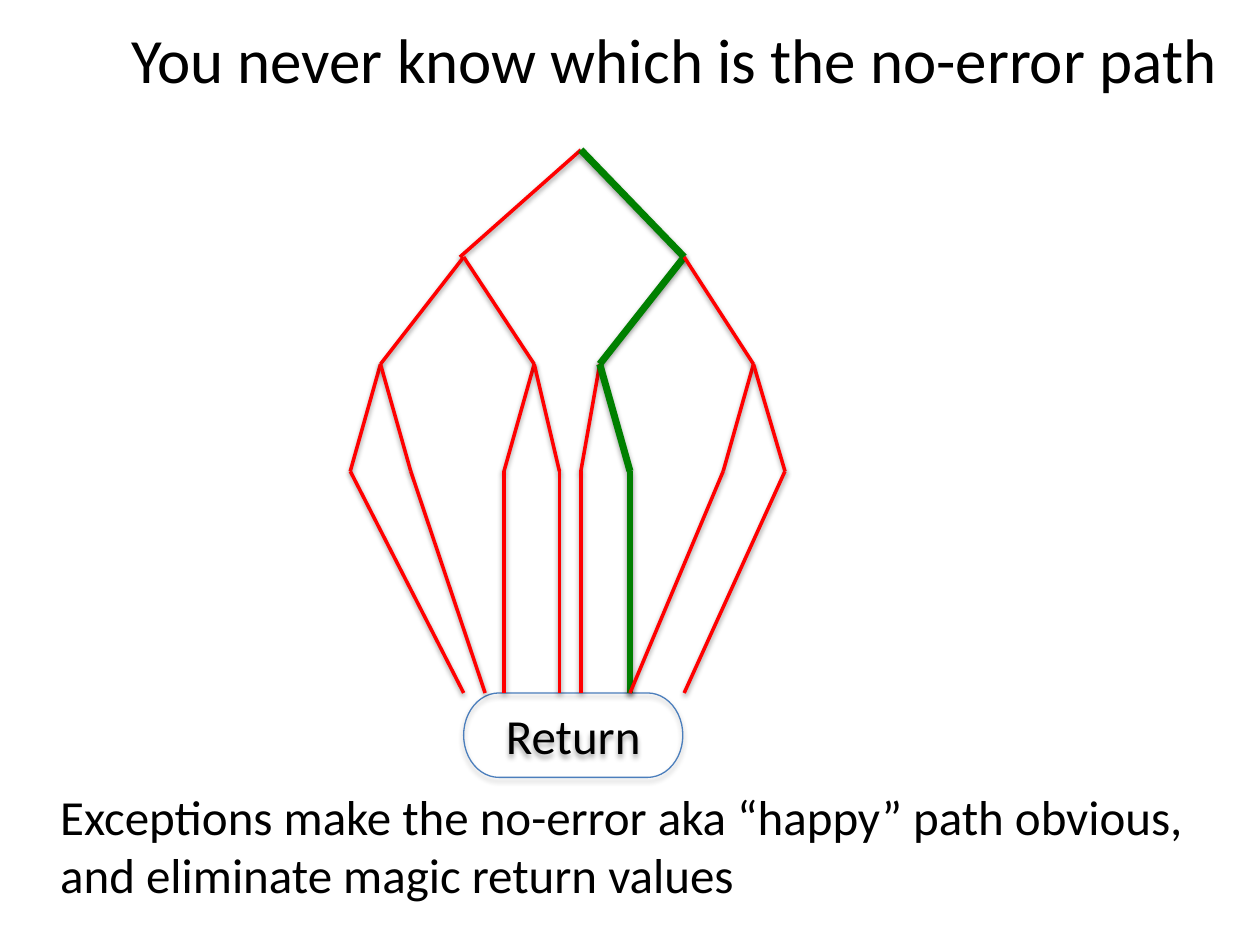
from lxml import etree
from pptx import Presentation
from pptx.dml.color import RGBColor
from pptx.enum import shapes, text
from pptx.oxml import ns
from pptx.util import Inches, Pt

# Content
TITLE = "You never know which is the no-error path"
END = "Return"
NOTES = ["Exceptions make the no-error aka “happy” path obvious,",
         "and eliminate magic return values"]

# Tree: heights of the levels, then the branches (start x, end x) between them
LEVELS = [1.19, 2.04, 2.89, 3.74, 5.5]
TREE = [
    [(4.61, 3.65), (4.61, 5.43)],
    [(3.68, 3.02), (3.68, 4.24), (5.43, 4.76), (5.43, 5.98)],
    [(3.02, 2.78), (3.02, 3.26), (4.24, 4), (4.24, 4.44),
     (4.76, 4.61), (4.76, 5), (5.98, 5.74), (5.98, 6.23)],
    [(2.78, 3.68), (3.26, 3.85), (4, 4), (4.44, 4.44),
     (4.61, 4.61), (5, 5), (5.74, 5), (6.23, 5.43)],
]
HAPPY = [(4.61, 5.43), (5.43, 4.76), (4.76, 5), (5, 5)]

THEME = {
    "font": "Calibri", "ink": "000000", "title": 36, "body": 28,
    "error": ("FF0000", 2), "happy": ("008000", 4), "edge": ("4B7EBC", 0.75),
}


def write(para, words, size):
    run = para.add_run()
    run.text = words
    run.font.name = THEME["font"]
    run.font.size = Pt(size)
    run.font.color.rgb = RGBColor.from_string(THEME["ink"])


def stroke(item, style):
    color, width = style
    item.line.color.rgb = RGBColor.from_string(color)
    item.line.width = Pt(width)


def shade(item, dist, alpha):
    props = item._element.spPr
    for old in props.findall(ns.qn("a:effectLst")):
        props.remove(old)
    fx = etree.SubElement(props, ns.qn("a:effectLst"))
    drop = etree.SubElement(fx, ns.qn("a:outerShdw"), blurRad=str(Pt(3.1)),
                            dist=str(Pt(dist)), dir="5400000", rotWithShape="0")
    tint = etree.SubElement(drop, ns.qn("a:srgbClr"), val=THEME["ink"])
    etree.SubElement(tint, ns.qn("a:alpha"), val=str(alpha * 1000))


def main():
    deck = Presentation()
    deck.slide_width, deck.slide_height = Inches(10), Inches(7.5)
    slide = deck.slides.add_slide(deck.slide_layouts[5])

    # Title
    head = slide.shapes.title
    head.left, head.top = Inches(0.2), Inches(-0.16)
    head.width, head.height = Inches(10.3), Inches(1.25)
    frame = head.text_frame
    frame.vertical_anchor = text.MSO_ANCHOR.MIDDLE
    frame.paragraphs[0].alignment = text.PP_ALIGN.CENTER
    write(frame.paragraphs[0], TITLE, THEME["title"])

    # Return node
    tree = slide.shapes.add_group_shape().shapes
    node = tree.add_shape(shapes.MSO_SHAPE.FLOWCHART_TERMINATOR, Inches(3.68),
                          Inches(LEVELS[-1]), Inches(1.74), Inches(0.67))
    node.fill.background()
    stroke(node, THEME["edge"])
    shade(node, 1.8, 35)
    frame = node.text_frame
    frame.vertical_anchor = text.MSO_ANCHOR.MIDDLE
    frame.paragraphs[0].alignment = text.PP_ALIGN.CENTER
    write(frame.paragraphs[0], END, THEME["body"])

    # Branches, with the no-error path in the heavier line
    for row, good, top, low in zip(TREE, HAPPY, LEVELS, LEVELS[1:]):
        for start, stop in row:
            line = tree.add_connector(shapes.MSO_CONNECTOR.STRAIGHT, Inches(start),
                                      Inches(top), Inches(stop), Inches(low))
            stroke(line, THEME["happy" if (start, stop) == good else "error"])
            shade(line, 1.6, 38)

    # Closing remark
    box = slide.shapes.add_textbox(Inches(0.38), Inches(6.19), Inches(9.24), Inches(1.04))
    frame = box.text_frame
    frame.word_wrap = False
    frame.auto_size = text.MSO_AUTO_SIZE.SHAPE_TO_FIT_TEXT
    for i, words in enumerate(NOTES):
        para = frame.add_paragraph() if i else frame.paragraphs[0]
        write(para, words, THEME["body"])

    deck.save("out.pptx")


if __name__ == "__main__":
    main()
